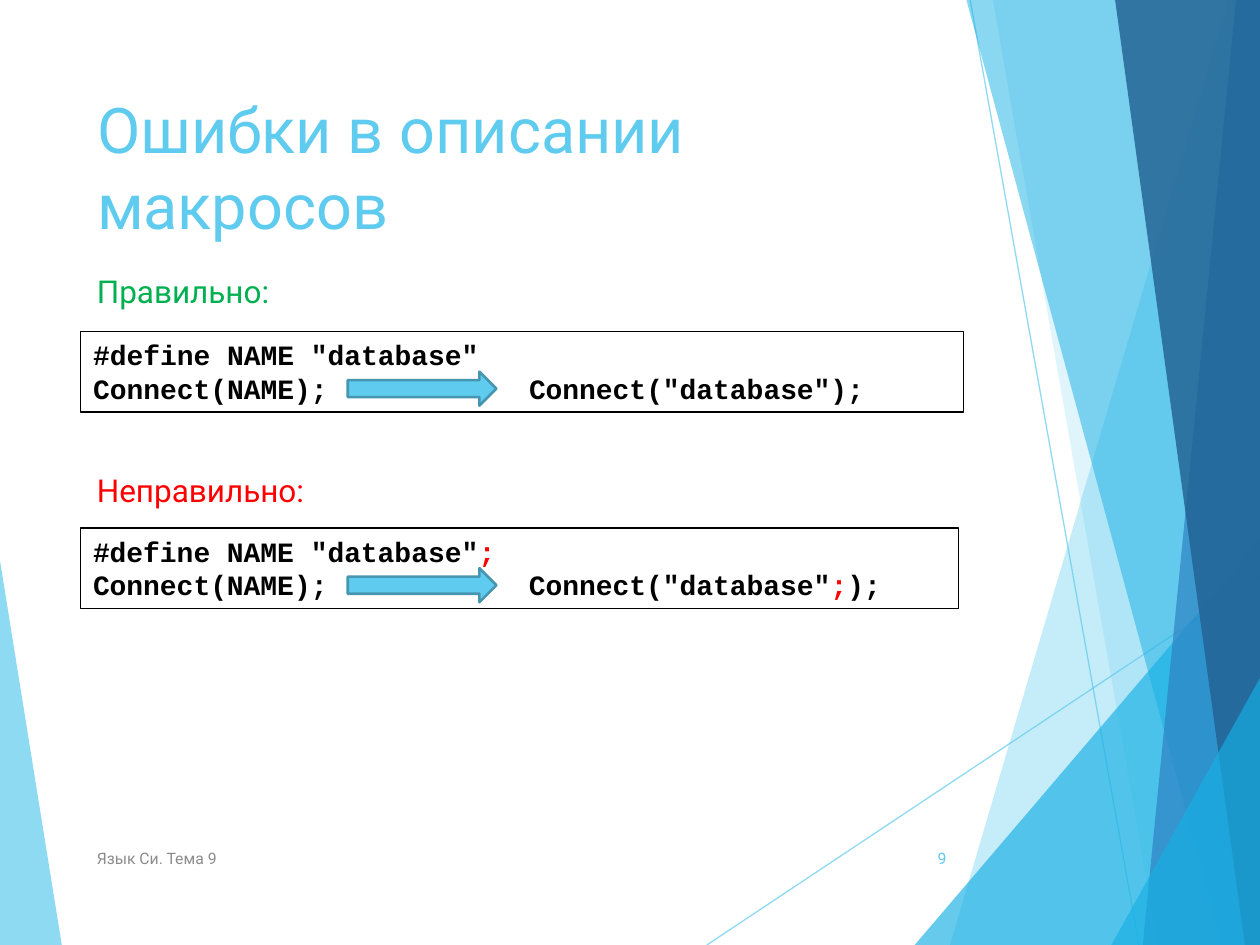
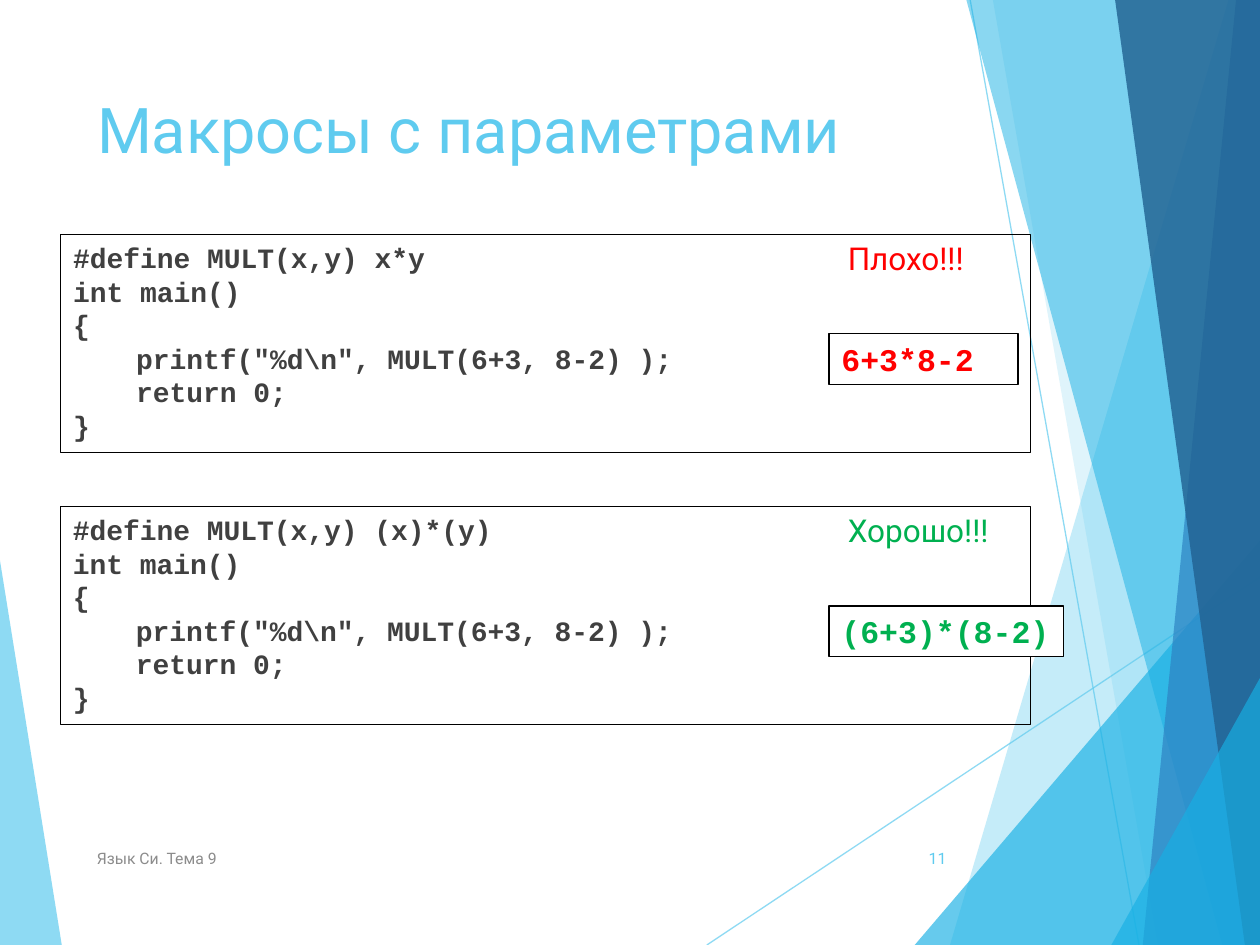
from lxml import etree
from pptx import Presentation
from pptx import util as u
from pptx.dml.color import RGBColor
from pptx.enum import shapes, text
from pptx.oxml import ns

COLOURS = {
    "sky": "5FCBEF",
    "cyan": "17B0E4",
    "blue": "2E83C3",
    "navy": "226292",
    "arrow_edge": "4696B1",
    "grey": "8C8C8C",
    "code": "404040",
    "black": "000000",
    "white": "FFFFFF",
    "good": "00B050",
    "bad": "FF0000",
}
BODY_FONT = "Roboto"
CODE_FONT = "Courier New"
TAB_POSITION = u.Inches(3.46)


def paint(target, colour, opacity=100):
    target.solid()
    target.fore_color.rgb = RGBColor.from_string(COLOURS[colour])
    if opacity < 100:
        for choice in target._xPr.iter(ns.qn("a:srgbClr")):
            etree.SubElement(choice, ns.qn("a:alpha"), val=str(opacity * 1000))


def write(shape, lines, size, font=BODY_FONT, bold=False, anchor=text.MSO_ANCHOR.TOP):
    frame = shape.text_frame
    frame.word_wrap = True
    frame.auto_size = text.MSO_AUTO_SIZE.NONE
    frame.vertical_anchor = anchor
    for index, runs in enumerate(lines):
        paragraph = frame.paragraphs[0] if index == 0 else frame.add_paragraph()
        paragraph.alignment = text.PP_ALIGN.LEFT
        paragraph.space_before = u.Pt(0)
        for content, colour in runs:
            run = paragraph.add_run()
            run.text = content
            run.font.name = font
            run.font.size = u.Pt(size)
            run.font.bold = bold
            run.font.color.rgb = RGBColor.from_string(COLOURS[colour])
    return frame


presentation = Presentation()
presentation.slide_width = u.Inches(10)
presentation.slide_height = u.Inches(7.5)
mistakes_slide = presentation.slides.add_slide(presentation.slide_layouts[5])
parameters_slide = presentation.slides.add_slide(presentation.slide_layouts[1])

facets = [
    ("sky", 70, [(0, 4.45), (0.49, 7.5), (0, 7.5)]),
    ("sky", 36, [(9.75, 0), (7.54, 7.5), (10, 7.5), (10, 0)]),
    ("sky", 20, [(7.88, 0), (9.19, 7.5), (10, 7.5), (10, 0)]),
    ("cyan", 66, [(7.26, 7.5), (10, 4.29), (10, 7.5)]),
    ("cyan", 50, [(7.67, 0), (9.7, 7.5), (10, 7.5), (10, 0)]),
    ("blue", 70, [(9.81, 0), (9.07, 7.5), (10, 7.5), (10, 0)]),
    ("navy", 82, [(8.85, 0), (9.88, 7.5), (10, 7.5), (10, 0)]),
    ("cyan", 66, [(8.82, 7.5), (10, 5.38), (10, 7.5)]),
]
decorations = []
for colour, opacity, corners in facets:
    points = [(u.Inches(x), u.Inches(y)) for x, y in corners]
    builder = mistakes_slide.shapes.build_freeform(*points[0])
    builder.add_line_segments(points[1:], close=True)
    facet = builder.convert_to_shape()
    facet.shadow.inherit = False
    facet.line.fill.background()
    paint(facet.fill, colour, opacity)
    decorations.append(facet)

rays = []
for ends in [(5.61, 7.5, 10, 4.58), (7.7, 0, 9.04, 7.5)]:
    ray = mistakes_slide.shapes.add_connector(
        shapes.MSO_CONNECTOR.STRAIGHT, *[u.Inches(end) for end in ends])
    ray.line.width = u.Pt(0.75)
    paint(ray.line.fill, "sky", 70)
    etree.SubElement(ray.element.spPr, ns.qn("a:effectLst"))
    rays.append(ray)
decorations[1:1] = rays

master_tree = presentation.slide_master.shapes.element
for position, decoration in enumerate(decorations, start=2):
    master_tree.insert(position, decoration.element)

for slide, heading, number in [
    (mistakes_slide, "Ошибки в описании макросов", "9"),
    (parameters_slide, "Макросы с параметрами", "11"),
]:
    title = slide.shapes.title
    title.left, title.top = u.Inches(0.67), u.Inches(0.67)
    title.width, title.height = u.Inches(6.94), u.Inches(1.44)
    write(title, [[(heading, "sky")]], 36)

    footer = slide.shapes.add_textbox(
        u.Inches(0.67), u.Inches(6.61), u.Inches(5.06), u.Inches(0.4))
    write(footer, [[("Язык Си. Тема 9", "grey")]], 9, anchor=text.MSO_ANCHOR.MIDDLE)
    page = slide.shapes.add_textbox(
        u.Inches(7.05), u.Inches(6.61), u.Inches(0.56), u.Inches(0.4))
    frame = write(page, [[(number, "sky")]], 9, anchor=text.MSO_ANCHOR.MIDDLE)
    frame.paragraphs[0].alignment = text.PP_ALIGN.RIGHT

define = ('#define NAME "database"', "black")
call = ('Connect(NAME);\tConnect("database"', "black")
semicolon = (";", "bad")
ending = (");", "black")
examples = [
    ("Правильно:", "good", 2.11, 2.63, 7.01, 2.95, [[define], [call, ending]]),
    ("Неправильно:", "bad", 3.69, 4.19, 6.97, 4.51,
     [[define, semicolon], [call, semicolon, ending]]),
]
for caption, colour, caption_top, code_top, code_width, arrow_top, code in examples:
    label = mistakes_slide.shapes.add_textbox(
        u.Inches(0.67), u.Inches(caption_top), u.Inches(2.82), u.Inches(0.4))
    write(label, [[(caption, colour)]], 18)

    code_box = mistakes_slide.shapes.add_textbox(
        u.Inches(0.64), u.Inches(code_top), u.Inches(code_width), u.Inches(0.64))
    paint(code_box.line.fill, "black")
    code_box.line.width = u.Pt(0.75)
    frame = write(code_box, code, 16, CODE_FONT, bold=True)
    properties = frame.paragraphs[1]._p.get_or_add_pPr()
    tabs = etree.SubElement(properties, ns.qn("a:tabLst"))
    etree.SubElement(tabs, ns.qn("a:tab"), pos=str(int(TAB_POSITION)), algn="l")

    arrow = mistakes_slide.shapes.add_shape(
        shapes.MSO_SHAPE.RIGHT_ARROW,
        u.Inches(2.76), u.Inches(arrow_top), u.Inches(1.18), u.Inches(0.27))
    arrow.shadow.inherit = False
    paint(arrow.fill, "sky")
    paint(arrow.line.fill, "arrow_edge")
    arrow.line.width = u.Pt(1.5)

variants = [
    (1.86, parameters_slide.placeholders[1], "x*y", "Плохо!!!", "bad", "6+3*8-2", 1.5),
    (4.02, parameters_slide.shapes.add_textbox(0, 0, 0, 0), "(x)*(y)",
     "Хорошо!!!", "good", "(6+3)*(8-2)", 1.86),
]
for top, listing, product, verdict, colour, expansion, expansion_width in variants:
    listing.left, listing.top = u.Inches(0.48), u.Inches(top)
    listing.width, listing.height = u.Inches(7.7), u.Inches(1.73)
    paint(listing.line.fill, "black")
    listing.line.width = u.Pt(0.75)
    program = [
        f"#define MULT(x,y) {product}",
        "int main()",
        "{",
        'printf("%d\\n", MULT(6+3, 8-2) );',
        "return 0;",
        "}",
    ]
    frame = write(listing, [[(line, "code")] for line in program], 16, CODE_FONT, bold=True)
    for index, paragraph in enumerate(frame.paragraphs):
        properties = paragraph._p.get_or_add_pPr()
        properties.set("marL", str(int(u.Inches(0.5 if index in (3, 4) else 0))))
        properties.set("indent", "0")
        etree.SubElement(properties, ns.qn("a:buNone"))

    result = parameters_slide.shapes.add_textbox(
        u.Inches(6.58), u.Inches(top + 0.79), u.Inches(expansion_width), u.Inches(0.4))
    paint(result.line.fill, "black")
    result.line.width = u.Pt(0.75)
    if colour == "good":
        paint(result.fill, "white")
    frame = write(result, [[(expansion, colour)]], 18, CODE_FONT, bold=True)
    frame.margin_right = 0

    remark = parameters_slide.shapes.add_textbox(
        u.Inches(6.63), u.Inches(top - 0.01), u.Inches(1.45), u.Inches(0.4))
    write(remark, [[(verdict, colour)]], 18)

presentation.save("out.pptx")
